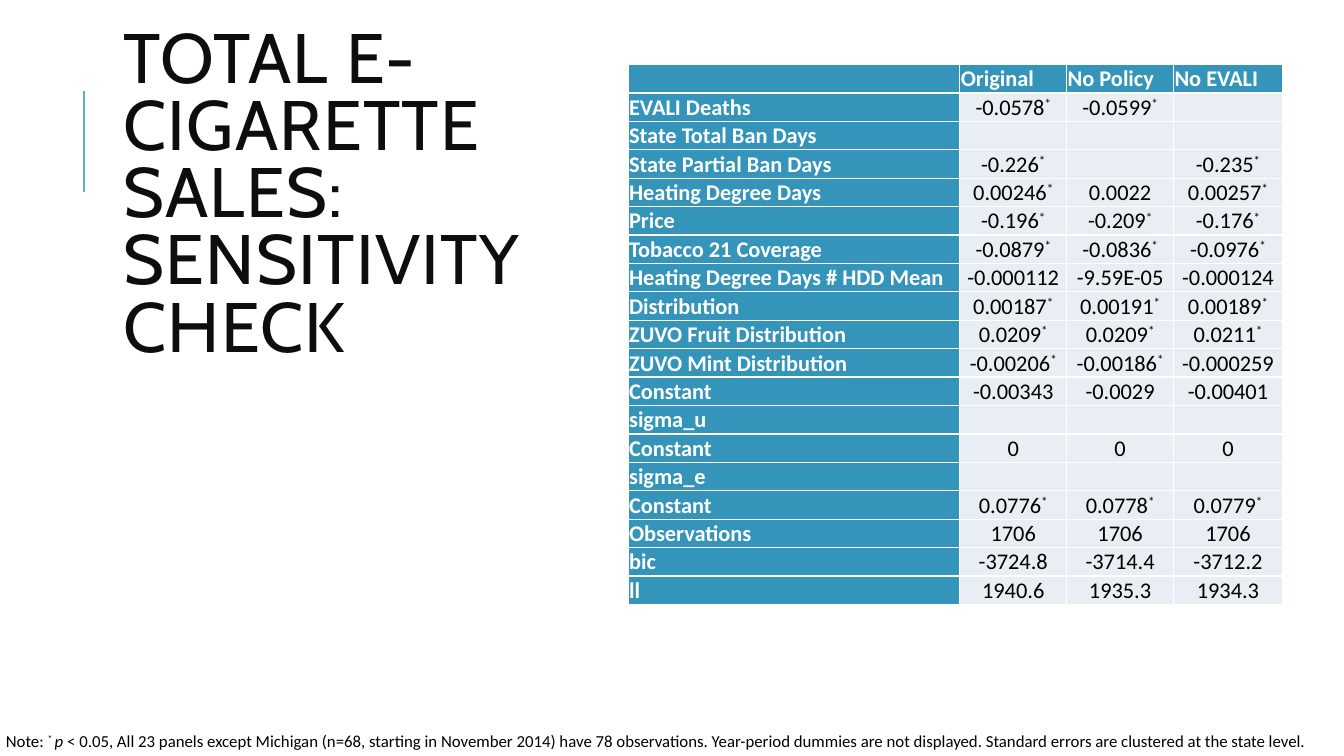
from lxml.etree import SubElement
from pptx import Presentation
from pptx.dml.color import RGBColor
from pptx.enum.shapes import MSO_CONNECTOR
from pptx.enum.text import MSO_ANCHOR, MSO_AUTO_SIZE, PP_ALIGN
from pptx.oxml.ns import qn
from pptx.util import Inches, Pt

TITLE = "TOTAL E-CIGARETTE SALES: SENSITIVITY CHECK"
HEADER = ["", "Original", "No Policy", "No EVALI"]
ROWS = [
    ["EVALI Deaths", "-0.0578*", "-0.0599*", ""],
    ["State Total Ban Days", "", "", ""],
    ["State Partial Ban Days", "-0.226*", "", "-0.235*"],
    ["Heating Degree Days", "0.00246*", "0.0022", "0.00257*"],
    ["Price", "-0.196*", "-0.209*", "-0.176*"],
    ["Tobacco 21 Coverage", "-0.0879*", "-0.0836*", "-0.0976*"],
    ["Heating Degree Days # HDD Mean", "-0.000112", "-9.59E-05", "-0.000124"],
    ["Distribution", "0.00187*", "0.00191*", "0.00189*"],
    ["ZUVO Fruit Distribution", "0.0209*", "0.0209*", "0.0211*"],
    ["ZUVO Mint Distribution", "-0.00206*", "-0.00186*", "-0.000259"],
    ["Constant", "-0.00343", "-0.0029", "-0.00401"],
    ["sigma_u", "", "", ""],
    ["Constant", "0", "0", "0"],
    ["sigma_e", "", "", ""],
    ["Constant", "0.0776*", "0.0778*", "0.0779*"],
    ["Observations", "1706", "1706", "1706"],
    ["bic", "-3724.8", "-3714.4", "-3712.2"],
    ["ll", "1940.6", "1935.3", "1934.3"],
]
NOTE = [
    ("Note: ", ""),
    ("* ", "super"),
    ("p", "italic"),
    (" < 0.05, All 23 panels except Michigan (n=68, starting in November 2014) "
     "have 78 observations. Year-period dummies are not displayed. "
     "Standard errors are clustered at the state level.", ""),
]
COL_WIDTHS = [3.29, 1.06, 1.06, 1.08]
ROW_HEIGHT = 0.28

BLUE = RGBColor(0x34, 0x94, 0xBA)
PALE = RGBColor(0xE8, 0xEE, 0xF3)
TEAL = RGBColor(0x58, 0xB6, 0xC0)
INK = RGBColor(0x0D, 0x0D, 0x0D)
BLACK = RGBColor(0, 0, 0)
WHITE = RGBColor(0xFF, 0xFF, 0xFF)


def add_run(p, text, size, color, font="Calibri", bold=False, style=""):
    r = p.add_run()
    r.text = text
    r.font.name = font
    r.font.size = Pt(size)
    r.font.color.rgb = color
    r.font.bold = bold
    r.font.italic = style == "italic"
    if style == "super":
        r.font._element.set("baseline", "30000")
    return r


def fill_cell(cell, text, is_label, is_header):
    cell.fill.solid()
    cell.fill.fore_color.rgb = BLUE if is_label else PALE
    cell.margin_left = cell.margin_right = cell.margin_top = Inches(0.01)
    cell.margin_bottom = 0
    cell.vertical_anchor = MSO_ANCHOR.BOTTOM if is_header else MSO_ANCHOR.MIDDLE
    p = cell.text_frame.paragraphs[0]
    p.alignment = PP_ALIGN.LEFT if is_label else PP_ALIGN.CENTER
    color = WHITE if is_label else BLACK
    if not text:
        SubElement(p._p, qn("a:endParaRPr"), sz="1600")
        return
    add_run(p, text.rstrip("*"), 16, color, bold=is_label)
    if text.endswith("*"):
        add_run(p, "*", 16, color, style="super")


def main():
    prs = Presentation()
    prs.slide_width, prs.slide_height = Inches(13.33), Inches(7.5)
    s = prs.slides.add_slide(prs.slide_layouts[5])

    rule = s.shapes.add_connector(
        MSO_CONNECTOR.STRAIGHT, Inches(0.83), Inches(1.9), Inches(0.83), Inches(0.9))
    rule.line.color.rgb = TEAL
    rule.line.width = Pt(1.5)
    SubElement(rule._element.spPr, qn("a:effectLst"))

    title = s.shapes.title
    title.left, title.top = Inches(1.12), Inches(0.64)
    title.width, title.height = Inches(4.87), Inches(2.64)
    tf = title.text_frame
    tf.word_wrap = True
    tf.auto_size = MSO_AUTO_SIZE.NONE
    tf.vertical_anchor = MSO_ANCHOR.MIDDLE
    p = tf.paragraphs[0]
    p.alignment = PP_ALIGN.LEFT
    p.line_spacing = 0.8
    r = add_run(p, TITLE, 50, INK, font="Cabin")
    r.font._element.set("spc", "100")

    grid = [HEADER] + ROWS
    table = s.shapes.add_table(
        len(grid), len(HEADER), Inches(6.23), Inches(0.64),
        Inches(sum(COL_WIDTHS)), Inches(ROW_HEIGHT * len(grid))).table
    table.first_col = True
    for col, width in zip(table.columns, COL_WIDTHS):
        col.width = Inches(width)
    for i, values in enumerate(grid):
        table.rows[i].height = Inches(ROW_HEIGHT)
        for j, text in enumerate(values):
            fill_cell(table.cell(i, j), text, i == 0 or j == 0, i == 0)

    note = s.shapes.add_textbox(
        Inches(-0.04), Inches(7.19), Inches(13.37), Inches(0.31))
    tf = note.text_frame
    tf.word_wrap = True
    p = tf.paragraphs[0]
    p.line_spacing = 1.07
    for text, style in NOTE:
        add_run(p, text, 12, BLACK, style=style)

    prs.save("out.pptx")


if __name__ == "__main__":
    main()
